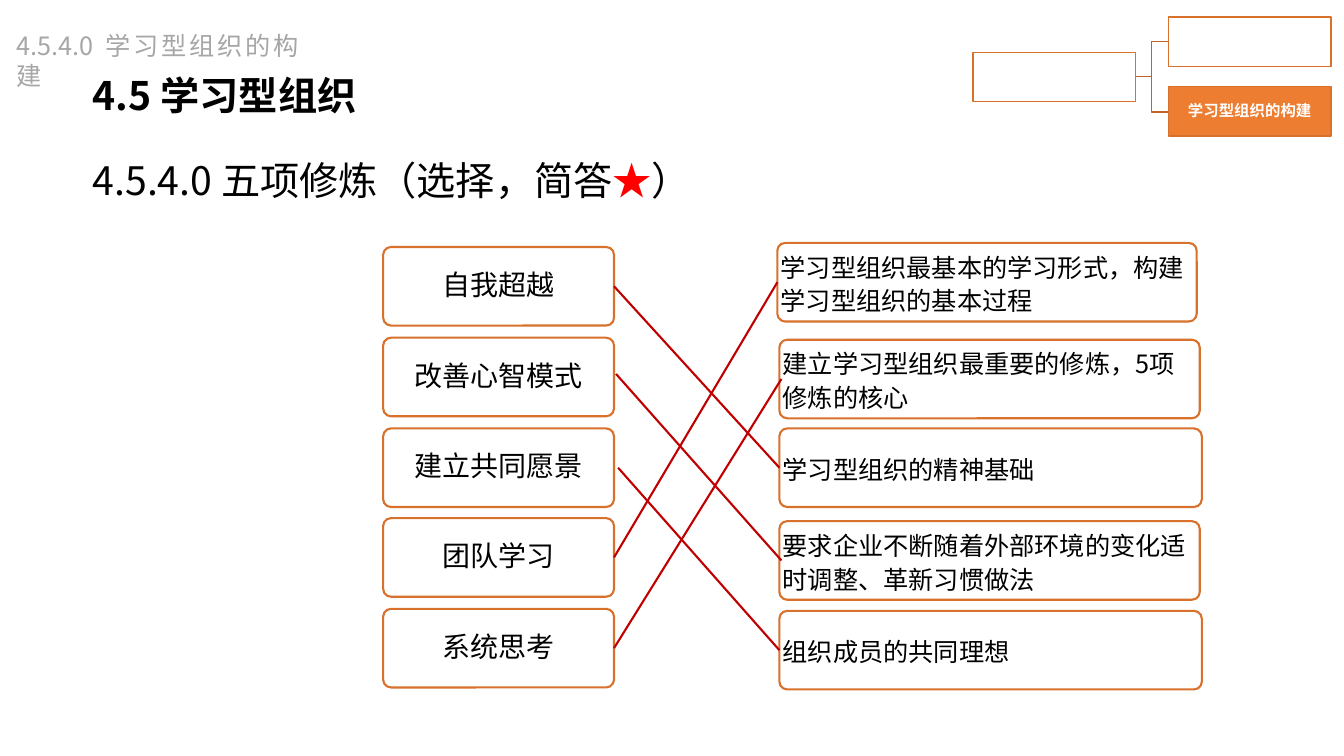
from dataclasses import dataclass
from typing import Any, NamedTuple, Optional

from lxml import etree
from pptx import Presentation
from pptx import util as u
from pptx.dml import color
from pptx.enum import shapes, text
from pptx.oxml import ns

EMU_PER_PX = 9144


@dataclass(frozen=True)
class Theme:
    font: str = "Noto Sans CJK SC"
    white: str = "FFFFFF"
    black: str = "000000"
    grey: str = "A6A6A6"
    red: str = "FF0000"
    match: str = "C00000"
    border: str = "D7712C"
    branch: str = "BE6427"
    accent: str = "ED7D31"
    heading: int = 28
    label: int = 20
    body: int = 18
    small: int = 11
    thick: float = 1.5
    thin: float = 1


THEME = Theme()


class Area(NamedTuple):
    left: int
    top: int
    width: int
    height: int


class Point(NamedTuple):
    x: int
    y: int


class Run(NamedTuple):
    words: str
    size: int
    colour: str = THEME.black
    bold: bool = False


class Box(NamedTuple):
    area: Area
    fill: str = THEME.white
    weight: float = THEME.thin
    kind: Any = shapes.MSO_SHAPE.RECTANGLE


class Match(NamedTuple):
    skill: int
    meaning: int
    begin: Optional[Point] = None
    end: Optional[Point] = None


CENTRED = {"alignment": text.PP_ALIGN.CENTER, "line_spacing": 0.9}
FIXED = {"alignment": text.PP_ALIGN.LEFT, "line_spacing": u.Pt(24)}
JUSTIFIED = {"alignment": text.PP_ALIGN.JUSTIFY}
LOOSE = {"line_spacing": 1.5}

SKILLS = ["自我超越", "改善心智模式", "建立共同愿景", "团队学习", "系统思考"]
MEANINGS = [
    (Area(771, 241, 416, 78), "学习型组织最基本的学习形式，构建学习型组织的基本过程"),
    (Area(773, 337, 417, 78), "建立学习型组织最重要的修炼，5项修炼的核心"),
    (Area(773, 425, 419, 78), "学习型组织的精神基础"),
    (Area(773, 517, 417, 78), "要求企业不断随着外部环境的变化适时调整、革新习惯做法"),
    (Area(773, 606, 419, 78), "组织成员的共同理想"),
]
MATCHES = [
    Match(0, 2),
    Match(1, 3, Point(611, 371), Point(775, 556)),
    Match(2, 4, begin=Point(613, 464)),
    Match(3, 0),
    Match(4, 1, end=Point(775, 376)),
]


def px(length: int) -> u.Emu:
    return u.Emu(length * EMU_PER_PX)


def rgb(value: str) -> color.RGBColor:
    return color.RGBColor.from_string(value)


def apply(target: Any, values: dict) -> None:
    for name, value in values.items():
        setattr(target, name, value)


def write(shape: Any, runs: list[Run], layout: dict, inset: Point,
          anchor: Any = text.MSO_ANCHOR.MIDDLE) -> None:
    frame = shape.text_frame
    apply(frame, {
        "word_wrap": True, "vertical_anchor": anchor,
        "margin_left": px(inset.x), "margin_right": px(inset.x),
        "margin_top": px(inset.y), "margin_bottom": px(inset.y),
    })
    paragraph = frame.paragraphs[0]
    apply(paragraph, layout)
    for item in runs:
        run = paragraph.add_run()
        run.text = item.words
        run.font.color.rgb = rgb(item.colour)
        apply(run.font, {"name": THEME.font, "size": u.Pt(item.size), "bold": item.bold})
        etree.SubElement(run._r.get_or_add_rPr(), ns.qn("a:ea"), typeface=THEME.font)


def style_line(shape: Any, colour: str, weight: float) -> None:
    shape.line.color.rgb = rgb(colour)
    shape.line.width = u.Pt(weight)


def add_box(slide: Any, box: Box) -> Any:
    shape = slide.shapes.add_shape(box.kind, *map(px, box.area))
    shape.shadow.inherit = False
    shape.fill.solid()
    shape.fill.fore_color.rgb = rgb(box.fill)
    style_line(shape, THEME.border, box.weight)
    return shape


def add_card(slide: Any, area: Area, run: Run, layout: dict) -> Any:
    card = add_box(slide, Box(area, weight=THEME.thick,
                              kind=shapes.MSO_SHAPE.ROUNDED_RECTANGLE))
    card.adjustments[0] = 0.1
    write(card, [run], layout, Point(1, 1))
    return card


def add_match(slide: Any, match: Match, skills: list, meanings: list) -> None:
    begin, end = match.begin or Point(0, 0), match.end or Point(0, 0)
    line = slide.shapes.add_connector(shapes.MSO_CONNECTOR.STRAIGHT, *map(px, begin + end))
    if match.begin is None:
        line.begin_connect(skills[match.skill], 3)
    if match.end is None:
        line.end_connect(meanings[match.meaning], 1)
    style_line(line, THEME.match, THEME.thick)
    etree.SubElement(line._element.spPr, ns.qn("a:effectLst"))


def add_text(slide: Any, area: Area, runs: list[Run], layout: dict, inset: Point,
             anchor: Any = text.MSO_ANCHOR.TOP) -> None:
    write(slide.shapes.add_textbox(*map(px, area)), runs, layout, inset, anchor)


def add_branch(slide: Any, target_y: int) -> None:
    builder = slide.shapes.build_freeform(1126, 76, scale=EMU_PER_PX)
    builder.add_line_segments([(1142, 76), (1142, target_y), (1159, target_y)], close=False)
    branch = builder.convert_to_shape()
    branch.shadow.inherit = False
    branch.fill.background()
    style_line(branch, THEME.branch, THEME.thin)


def add_outline(slide: Any) -> None:
    for target_y in (111, 41):
        add_branch(slide, target_y)
    for area in (Area(965, 52, 161, 49), Area(1159, 17, 161, 49)):
        add_box(slide, Box(area))
    current = add_box(slide, Box(Area(1159, 86, 161, 49), fill=THEME.accent))
    write(current, [Run("学习型组织的构建", THEME.small, THEME.white, True)],
          CENTRED, Point(1, 1))


def main() -> None:
    presentation = Presentation()
    apply(presentation, {"slide_width": px(1333), "slide_height": px(750)})
    slide = presentation.slides.add_slide(presentation.slide_layouts[6])

    add_text(slide, Area(80, 65, 1145, 59),
             [Run("4.5 学习型组织", THEME.heading, bold=True)], {}, Point(12, 6))
    skills = [add_card(slide, Area(380, 245 + round(row * 89.75), 229, 78),
                       Run(name, THEME.label), CENTRED)
              for row, name in enumerate(SKILLS)]
    meanings = [add_card(slide, area, Run(words, THEME.body), FIXED)
                for area, words in MEANINGS]
    for match in MATCHES:
        add_match(slide, match, skills, meanings)
    add_text(slide, Area(7, 25, 299, 40),
             [Run("4.5.4.0 学习型组织的构建", THEME.body, THEME.grey)], JUSTIFIED, Point(10, 5))
    add_text(slide, Area(80, 115, 1216, 104),
             [Run("4.5.4.0 五项修炼（选择，简答", THEME.heading),
              Run("★", THEME.heading, THEME.red),
              Run("）", THEME.heading)],
             LOOSE, Point(12, 6), text.MSO_ANCHOR.MIDDLE)
    add_outline(slide)
    presentation.save("out.pptx")


if __name__ == "__main__":
    main()
